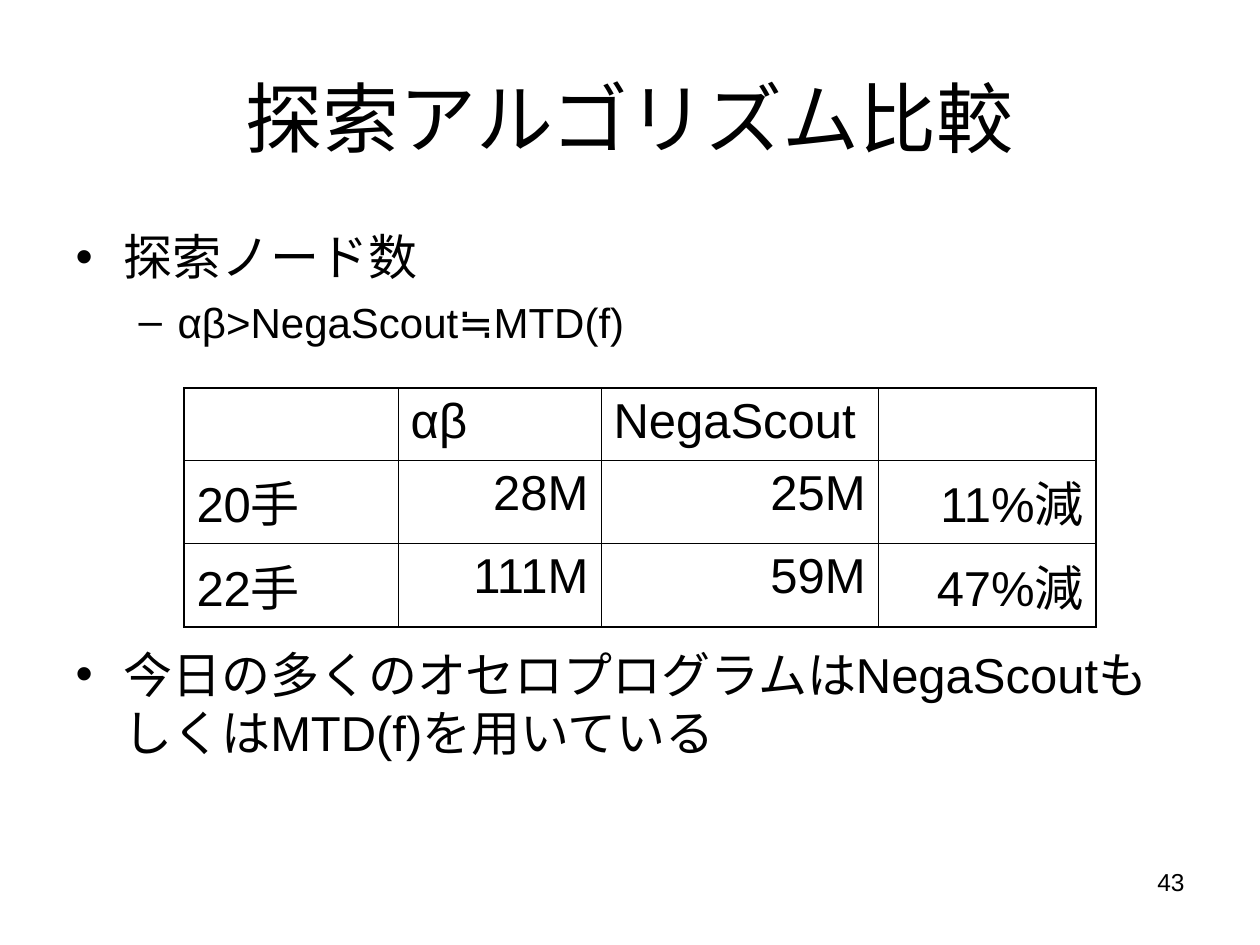
from dataclasses import dataclass

from lxml.etree import SubElement
from pptx import Presentation
from pptx.dml.color import RGBColor
from pptx.enum.text import MSO_ANCHOR as Anchor, MSO_AUTO_SIZE as AutoSize, PP_ALIGN as Align
from pptx.oxml import parse_xml
from pptx.oxml.ns import nsdecls, qn
from pptx.util import Inches, Pt

BLACK = "000000"
FONT = "Arial"
OUTER, INNER = 1.08, 0.45


@dataclass
class Bullet:
    text: str
    level: int
    size: float
    mark: str
    margin: float
    hanging: float
    before: float


BULLETS = [
    Bullet("探索ノード数", 0, 28, "•", 0.38, 0.38, 0),
    Bullet("αβ>NegaScout≒MTD(f)", 1, 24, "–", 0.81, 0.31, 6),
    Bullet("今日の多くのオセロプログラムはNegaScoutもしくはMTD(f)を用いている",
           0, 28, "•", 0.38, 0.38, 170),
]
COLUMNS = [1.7, 1.61, 2.2, 1.73]
ROW_HEIGHT = 0.57
RESULTS = [
    ["", "αβ", "NegaScout", ""],
    ["20手", "28M", "25M", "11%減"],
    ["22手", "111M", "59M", "47%減"],
]


def colour(value: str) -> RGBColor:
    return RGBColor.from_string(value)


def place(box, left: float, top: float, width: float, height: float) -> None:
    box.left, box.top = Inches(left), Inches(top)
    box.width, box.height = Inches(width), Inches(height)


def write(para, text: str, size: float, align=Align.LEFT) -> None:
    para.alignment = align
    span = para.add_run()
    span.text = text
    span.font.size = Pt(size)
    span.font.name = FONT
    span.font.bold = False
    span.font.color.rgb = colour(BLACK)


def add_bullet(para, item: Bullet) -> None:
    para.level = item.level
    para.space_before = Pt(item.before)
    props = para._p.get_or_add_pPr()
    props.set("marL", str(Inches(item.margin)))
    props.set("indent", str(-Inches(item.hanging)))
    SubElement(props, qn("a:buFont"), typeface=FONT)
    SubElement(props, qn("a:buChar"), char=item.mark)
    write(para, item.text, item.size)


def set_borders(cell, widths: dict[str, float]) -> None:
    props = cell._tc.get_or_add_tcPr()
    for position, (side, width) in enumerate(widths.items()):
        props.insert(position, parse_xml(
            f'<a:ln{side} {nsdecls("a")} w="{int(Pt(width))}"><a:solidFill>'
            f'<a:srgbClr val="{BLACK}"/></a:solidFill></a:ln{side}>'))


def add_results(page, left: float, top: float) -> None:
    rows, columns = len(RESULTS), len(COLUMNS)
    table = page.shapes.add_table(
        rows, columns, Inches(left), Inches(top),
        Inches(sum(COLUMNS)), Inches(ROW_HEIGHT * rows)).table
    table.first_row = table.horz_banding = False
    for column, width in zip(table.columns, COLUMNS):
        column.width = Inches(width)
    for r, values in enumerate(RESULTS):
        table.rows[r].height = Inches(ROW_HEIGHT)
        for c, value in enumerate(values):
            cell = table.cell(r, c)
            cell.fill.background()
            set_borders(cell, {
                "L": OUTER if c == 0 else INNER,
                "R": OUTER if c == columns - 1 else INNER,
                "T": OUTER if r == 0 else INNER,
                "B": OUTER if r == rows - 1 else INNER,
            })
            if value:
                align = Align.RIGHT if r and c else Align.LEFT
                write(cell.text_frame.paragraphs[0], value, 28, align)


def main() -> None:
    deck = Presentation()
    deck.slide_width, deck.slide_height = Inches(10), Inches(7.5)
    page = deck.slides.add_slide(deck.slide_layouts[1])

    title = page.shapes.title
    place(title, 0.5, 0.3, 9, 1.25)
    title.text_frame.vertical_anchor = Anchor.MIDDLE
    write(title.text_frame.paragraphs[0], "探索アルゴリズム比較", 44, Align.CENTER)

    body = page.placeholders[1]
    place(body, 0.5, 1.75, 8.99, 4.95)
    frame = body.text_frame
    frame.auto_size = AutoSize.NONE
    for index, item in enumerate(BULLETS):
        add_bullet(frame.add_paragraph() if index else frame.paragraphs[0], item)

    add_results(page, 1.46, 3.08)

    number = page.shapes.add_textbox(Inches(7.17), Inches(6.83), Inches(2.33), Inches(0.52))
    number.text_frame.word_wrap = True
    write(number.text_frame.paragraphs[0], "43", 14, Align.RIGHT)

    deck.save("out.pptx")


if __name__ == "__main__":
    main()
